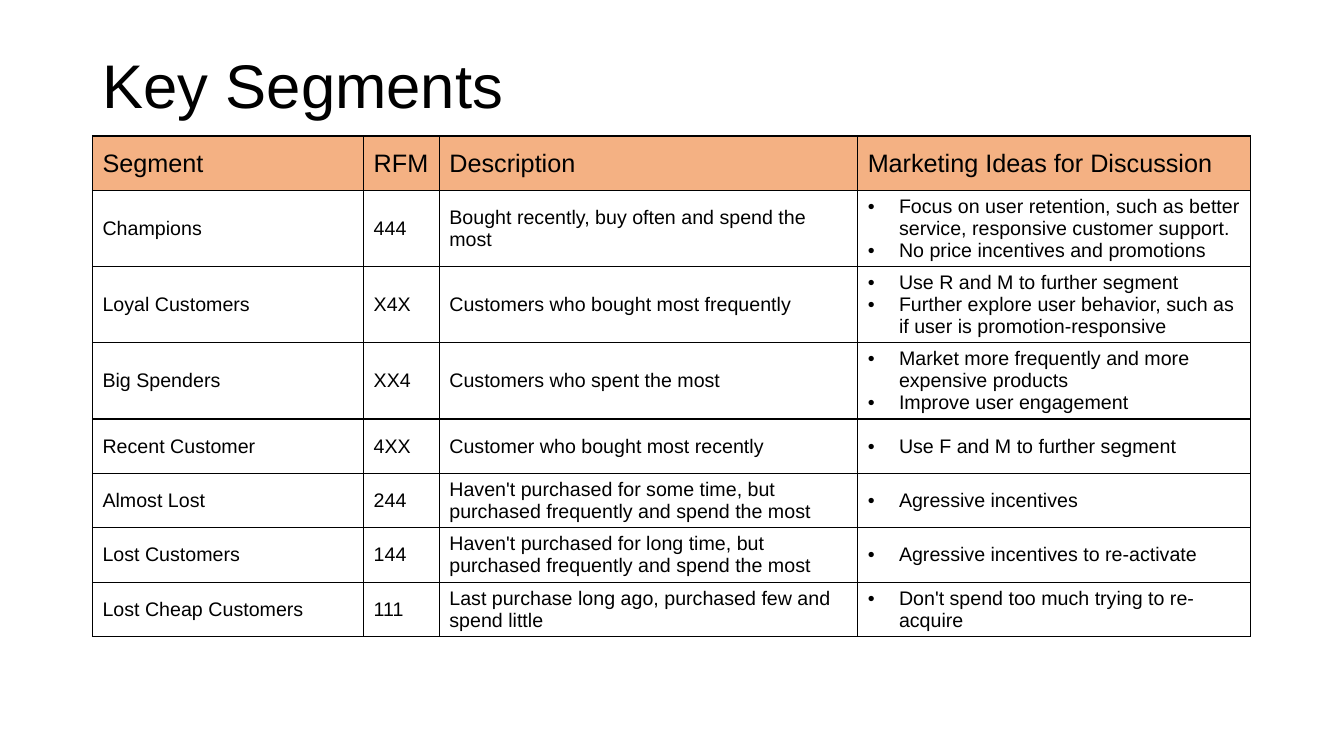
import pptx
import pptx.dml.color
import pptx.enum.text
import pptx.oxml
import pptx.oxml.ns
import pptx.util
from lxml import etree

BLACK = pptx.dml.color.RGBColor(0x00, 0x00, 0x00)
WHITE = pptx.dml.color.RGBColor(0xFF, 0xFF, 0xFF)
HEADER_ORANGE = pptx.dml.color.RGBColor(0xF4, 0xB1, 0x83)
MIDDLE = pptx.enum.text.MSO_ANCHOR.MIDDLE

LEFT, WIDTH = 6.88, 86.25
TITLE_TOP, TITLE_HEIGHT = 5.33, 12.67
ROW_HEIGHT = 7.2
COLUMN_WIDTHS = [20.18, 5.63, 31.13, 29.25]

HEADINGS = ["Segment", "RFM", "Description", "Marketing Ideas for Discussion"]
SEGMENTS = [
    ("Champions", "444", "Bought recently, buy often and spend the most",
     ["Focus on user retention, such as better service, responsive customer support.",
      "No price incentives and promotions"]),
    ("Loyal Customers", "X4X", "Customers who bought most frequently",
     ["Use R and M to further segment",
      "Further explore user behavior, such as if user is promotion-responsive"]),
    ("Big Spenders", "XX4", "Customers who spent the most",
     ["Market more frequently and more expensive products", "Improve user engagement"]),
    ("Recent Customer", "4XX", "Customer who bought most recently",
     ["Use F and M to further segment"]),
    ("Almost Lost", "244",
     "Haven't purchased for some time, but purchased frequently and spend the most",
     ["Agressive incentives"]),
    ("Lost Customers", "144",
     "Haven't purchased for long time, but purchased frequently and spend the most",
     ["Agressive incentives to re-activate"]),
    ("Lost Cheap Customers", "111", "Last purchase long ago, purchased few and spend little",
     ["Don't spend too much trying to re-acquire"]),
]


def write_text(text_frame, text, size=14, font="Arial", color=BLACK, bullet=False,
               line_spacing=None):
    lines = [text] if isinstance(text, str) else text
    for index, line in enumerate(lines):
        paragraph = text_frame.paragraphs[0] if index == 0 else text_frame.add_paragraph()
        paragraph.alignment = pptx.enum.text.PP_ALIGN.LEFT
        if line_spacing:
            paragraph.line_spacing = line_spacing
        if bullet:
            properties = paragraph._p.get_or_add_pPr()
            indent = pptx.util.Inches(0.31)
            properties.set("marL", str(indent))
            properties.set("indent", str(-indent))
            etree.SubElement(properties, pptx.oxml.ns.qn("a:buFont"), typeface=font)
            etree.SubElement(properties, pptx.oxml.ns.qn("a:buChar"), char="•")
        run = paragraph.add_run()
        run.text = line
        run.font.size = pptx.util.Pt(size)
        run.font.name = font
        run.font.color.rgb = color


class SlideBuilder:
    """Holds the slide and its style, with lengths in percent of the slide's size."""

    def __init__(self, presentation):
        self.presentation = presentation
        self.slide = presentation.slides.add_slide(presentation.slide_layouts[5])
        self.border_color = BLACK
        self.border_width = pptx.util.Pt(1)

    def across(self, percent):
        return round(self.presentation.slide_width * percent / 100)

    def down(self, percent):
        return round(self.presentation.slide_height * percent / 100)

    def title(self, text):
        shape = self.slide.shapes.title
        shape.left, shape.width = self.across(LEFT), self.across(WIDTH)
        shape.top, shape.height = self.down(TITLE_TOP), self.down(TITLE_HEIGHT)
        shape.text_frame.vertical_anchor = MIDDLE
        shape.text_frame.auto_size = pptx.enum.text.MSO_AUTO_SIZE.NONE
        write_text(shape.text_frame, text, size=44, line_spacing=0.9)

    def border(self, cell):
        properties = cell._tc.get_or_add_tcPr()
        for side in ("lnL", "lnR", "lnT", "lnB"):
            line = etree.SubElement(properties, pptx.oxml.ns.qn(f"a:{side}"),
                                    w=str(self.border_width))
            fill = etree.SubElement(line, pptx.oxml.ns.qn("a:solidFill"))
            etree.SubElement(fill, pptx.oxml.ns.qn("a:srgbClr"), val=str(self.border_color))

    def cell(self, cell, text, fill, **text_format):
        self.border(cell)
        cell.fill.solid()
        cell.fill.fore_color.rgb = fill
        cell.vertical_anchor = MIDDLE
        write_text(cell.text_frame, text, **text_format)

    def table(self, headings, records):
        row_count = len(records) + 1
        table = self.slide.shapes.add_table(
            row_count, len(headings), self.across(LEFT), self.down(TITLE_TOP + TITLE_HEIGHT),
            self.across(WIDTH), self.down(ROW_HEIGHT * row_count)).table
        table.first_row = table.horz_banding = False
        for column, width in zip(table.columns, COLUMN_WIDTHS):
            column.width = self.across(width)
        for row in table.rows:
            row.height = self.down(ROW_HEIGHT)
        for column, heading in enumerate(headings):
            self.cell(table.cell(0, column), heading, HEADER_ORANGE, size=18)
        for row, record in enumerate(records, start=1):
            for column, text in enumerate(record):
                self.cell(table.cell(row, column), text, WHITE, bullet=isinstance(text, list))


def main():
    presentation = pptx.Presentation()
    presentation.slide_width = pptx.util.Inches(13.33)
    presentation.slide_height = pptx.util.Inches(7.5)
    builder = SlideBuilder(presentation)
    builder.title("Key Segments")
    builder.table(HEADINGS, SEGMENTS)
    presentation.save("out.pptx")


if __name__ == "__main__":
    main()
